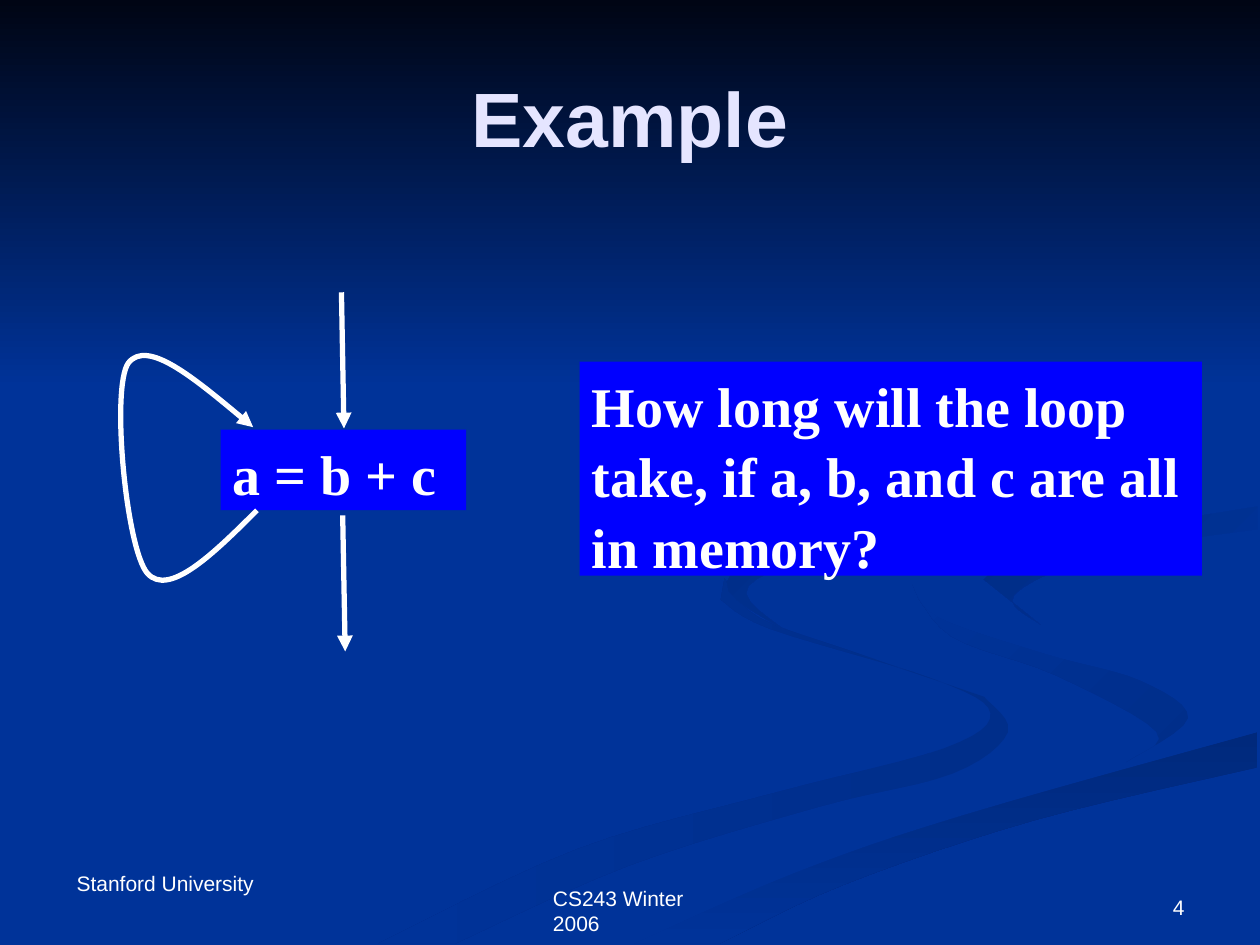
from pptx import Presentation
from pptx.dml.color import RGBColor
from pptx.enum.shapes import MSO_CONNECTOR, MSO_SHAPE
from pptx.enum.text import MSO_ANCHOR, PP_ALIGN
from pptx.oxml.ns import qn
from pptx.util import Inches, Pt
from lxml import etree

NAVY, WHITE, BLUE = "003399", "FFFFFF", "0000FF"

# Ribbon edges: each is a smooth line, and ribbons meet along them
HOOK_EDGE = [(7.24, 4.64), (7.45, 4.9), (8.3, 5.19), (9.05, 5.4), (9.43, 5.7), (8.94, 6.05)]
RIVER_EDGE = [(5.03, 7.49), (6.3, 6.93), (7.64, 6.47), (9.98, 5.81)]
BEND_EDGE = [(7.81, 4.6), (8.1, 4.37), (8.65, 4.24), (9.98, 4.02)]

# Ribbons: start colour, end colour, clockwise angle, edges
RIBBONS = [
    ("002E8A", NAVY, 180, [
        [(7.81, 5.53), (6.82, 5.19), (6.02, 4.9), (5.75, 4.59)],
        [(5.72, 4.76), (6.11, 4.99), (7.41, 5.39), (7.86, 5.66), (7.49, 5.94),
         (6.16, 6.29), (4.58, 6.74), (3, 7.49)],
        [(3.61, 7.49), (4.99, 6.87), (6.51, 6.4), (7.56, 6.14), (8, 5.81), (7.81, 5.53)]]),
    ("002E8A", NAVY, 225, [
        HOOK_EDGE,
        [(8.94, 6.05), (9.18, 5.81), (8.38, 5.36), (7.55, 5.05), (7.24, 4.64)]]),
    ("00297C", NAVY, 90, [
        RIVER_EDGE,
        [(9.98, 6.09), (8.21, 6.51), (6.7, 7.02), (5.71, 7.49)]]),
    (NAVY, NAVY, 0, [
        [(9.98, 3.87), (8.3, 4.15), (7.42, 4.39), (7.24, 4.64)],
        HOOK_EDGE,
        [(8.94, 6.05), (7.43, 6.43), (6.19, 6.84), (4.77, 7.49)],
        RIVER_EDGE,
        [(9.98, 5.38), (8.66, 5.09), (8.04, 4.85), (7.81, 4.6)],
        BEND_EDGE]),
    (NAVY, "002C85", 225, [
        BEND_EDGE,
        [(9.98, 4.2), (8.78, 4.39), (8.05, 4.72), (8.26, 4.96)]]),
    (NAVY, "002B81", 225, [
        [(7.62, 2.33), (8.46, 2.79), (8.89, 3.35), (8.42, 3.78), (6.49, 4.2),
         (5.77, 4.62), (6.22, 5)],
        [(6.22, 5), (5.94, 4.65), (6.83, 4.3), (8.55, 3.91), (8.94, 3.44),
         (8.43, 2.75), (7.62, 2.33)]]),
]

# Loop edge: start point, then two control points and an end point per curve
LOOP_POINTS = [(2.04, 4.05), (1.69, 4.4), (1.34, 4.74), (1.17, 4.55), (1, 4.35),
               (0.88, 3.07), (1.02, 2.88), (1.17, 2.69), (1.59, 3.04), (2.01, 3.39)]


def color(value):
    return RGBColor.from_string(value)


def smooth(points, steps=6):
    """Points along a Catmull-Rom curve through the given points."""
    padded = [points[0], *points, points[-1]]
    curve = [points[0]]
    for before, start, end, after in zip(padded, padded[1:], padded[2:], padded[3:]):
        for step in range(1, steps + 1):
            t = step / steps
            curve.append(tuple(
                b + ((c - a) * t + (2 * a - 5 * b + 4 * c - d) * t ** 2
                     + (3 * b - a - 3 * c + d) * t ** 3) / 2
                for a, b, c, d in zip(before, start, end, after)))
    return curve


def add_outline(slide, points, close):
    corners = [(Inches(x), Inches(y)) for x, y in points]
    builder = slide.shapes.build_freeform(*corners[0])
    builder.add_line_segments(corners[1:], close=close)
    shape = builder.convert_to_shape()
    shape.shadow.inherit = False
    return shape


def fill_shape(shape, start, end, angle=0):
    shape.line.fill.background()
    if start == end:
        shape.fill.solid()
        shape.fill.fore_color.rgb = color(start)
        return
    shape.fill.gradient()
    shape.fill.gradient_angle = (360 - angle) % 360
    for stop, position, value in zip(shape.fill.gradient_stops, (0, 1), (start, end)):
        stop.position = position
        stop.color.rgb = color(value)


def add_ribbon(slide, start, end, angle, edges):
    points = [point for edge in edges for point in smooth(edge)]
    fill_shape(add_outline(slide, points, close=True), start, end, angle)


def add_rectangle(slide, box, start, end, angle=0):
    shape = slide.shapes.add_shape(MSO_SHAPE.RECTANGLE, *map(Inches, box))
    shape.shadow.inherit = False
    fill_shape(shape, start, end, angle)
    return shape


def set_text(shape, text, size, font_name="Arial", font_color=WHITE, bold=False,
             align=PP_ALIGN.LEFT, anchor=MSO_ANCHOR.TOP, wrap=True):
    frame = shape.text_frame
    frame.text = text
    frame.word_wrap = wrap
    frame.vertical_anchor = anchor
    paragraph = frame.paragraphs[0]
    paragraph.alignment = align
    font = paragraph.runs[0].font
    font.name, font.size, font.bold = font_name, Pt(size), bold
    font.color.rgb = color(font_color)
    return paragraph


def add_label(slide, box, text, **style):
    set_text(slide.shapes.add_textbox(*map(Inches, box)), text, 12, **style)


def add_blue_box(slide, box, text):
    shape = add_rectangle(slide, box, BLUE, BLUE)
    paragraph = set_text(shape, text, 32, "Times New Roman", bold=True)
    paragraph.line_spacing = 1.05


def style_arrow(line):
    line.color.rgb = color(WHITE)
    line.width = Pt(3)
    etree.SubElement(line._get_or_add_ln(), qn("a:tailEnd"), type="triangle")


def add_arrow(slide, start, end):
    arrow = slide.shapes.add_connector(MSO_CONNECTOR.STRAIGHT, *map(Inches, start + end))
    style_arrow(arrow.line)
    etree.SubElement(arrow._element.spPr, qn("a:effectLst"))


def add_loop(slide, points):
    shape = add_outline(slide, points, close=False)
    shape.fill.background()
    style_arrow(shape.line)
    # Each three line segments become one curve
    segments = list(shape._element.iter(qn("a:lnTo")))
    for first in range(0, len(segments), 3):
        group = segments[first:first + 3]
        curve = etree.SubElement(group[0].getparent(), qn("a:cubicBezTo"))
        for segment in group:
            curve.append(segment[0])
            segment.getparent().remove(segment)


def add_title(slide, box, text):
    title = slide.shapes.title
    title.left, title.top, title.width, title.height = map(Inches, box)
    set_text(title, text, 44, font_color="E5E5FF", bold=True,
             align=PP_ALIGN.CENTER, anchor=MSO_ANCHOR.MIDDLE)


def add_background(slide):
    slide.background.fill.solid()
    slide.background.fill.fore_color.rgb = color(NAVY)
    for ribbon in RIBBONS:
        add_ribbon(slide, *ribbon)
    add_rectangle(slide, (0, 0, 10, 3.08), "000514", NAVY, 90)
    # Keep the title in front of the background
    title = slide.shapes.title._element
    title.getparent().append(title)


def main():
    presentation = Presentation()
    presentation.slide_width, presentation.slide_height = Inches(10), Inches(7.5)
    slide = presentation.slides.add_slide(presentation.slide_layouts[5])
    add_background(slide)

    # Footer
    add_label(slide, (4.29, 6.98, 1.65, 0.3), "CS243 Winter 2006", wrap=False)
    add_label(slide, (0.51, 6.86, 1.88, 0.3), "Stanford University")
    add_label(slide, (7.17, 6.83, 2.33, 0.52), "4",
              align=PP_ALIGN.RIGHT, anchor=MSO_ANCHOR.BOTTOM)

    # Title, loop diagram and question
    add_title(slide, (0.5, 0.3, 9, 1.25), "Example")
    add_blue_box(slide, (1.75, 3.41, 1.95, 0.64), "a = b + c")
    add_arrow(slide, (2.71, 2.32), (2.73, 3.4))
    add_arrow(slide, (2.72, 4.09), (2.74, 5.17))
    add_blue_box(slide, (4.6, 2.87, 4.94, 1.7),
                 "How long will the loop take, if a, b, and c are all in memory?")
    add_loop(slide, LOOP_POINTS)

    presentation.save("out.pptx")


if __name__ == "__main__":
    main()
